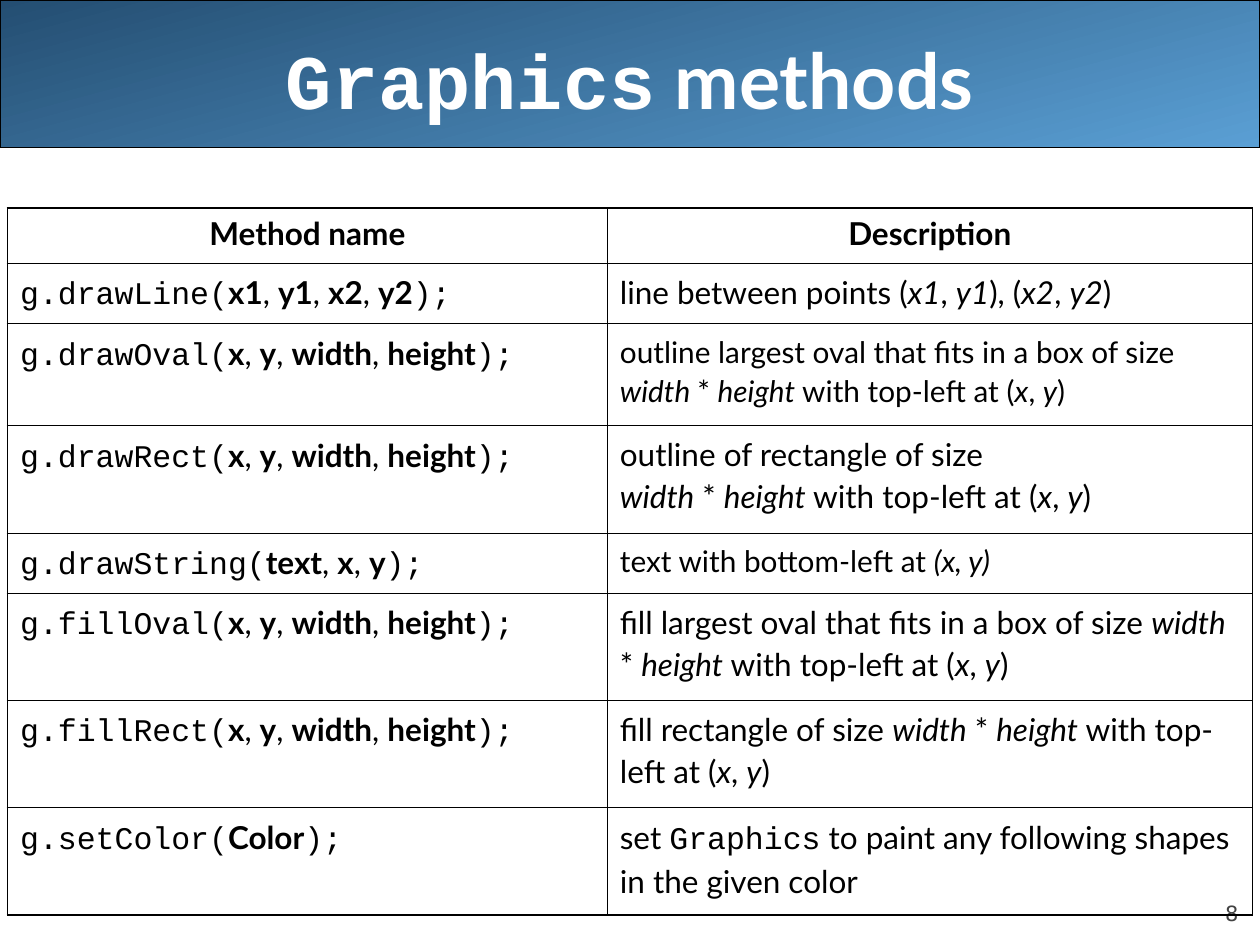
from lxml.etree import SubElement
from pptx import Presentation
from pptx.dml.color import RGBColor
from pptx.enum.shapes import MSO_SHAPE
from pptx.enum.text import MSO_ANCHOR, PP_ALIGN
from pptx.oxml.ns import qn
from pptx.util import Inches, Pt

SANS, MONO = "Lato", "Courier New"
THIN, THICK = 0.45, 1.08

# Content: method, parameters, description (_marks_ set italics, Graphics is code),
# description size, row height
HEADERS, HEADER_HEIGHT = ("Method name", "Description"), 0.44
METHODS = [
    ("drawLine", ["x1", "y1", "x2", "y2"],
     "line between points (_x1_, _y1_), (_x2_, _y2_)", 18, 0.48),
    ("drawOval", ["x", "y", "width", "height"],
     "outline largest oval that fits in a box of size _width _* _height_"
     " with top-left at (_x_, _y_)", 17, 0.81),
    ("drawRect", ["x", "y", "width", "height"],
     "outline of rectangle of size\n_width_ * _height_ with top-left at (_x_, _y_)",
     18, 0.85),
    ("drawString", ["text", "x", "y"],
     "text with bottom-left at _(x, y)_", 17, 0.48),
    ("fillOval", ["x", "y", "width", "height"],
     "fill largest oval that fits in a box of size _width _* _height_"
     " with top-left at (_x_, _y_)", 18, 0.85),
    ("fillRect", ["x", "y", "width", "height"],
     "fill rectangle of size _width_ * _height_ with top-left at (_x_, _y_)", 18, 0.85),
    ("setColor", ["Color"],
     "set _Graphics_ to paint any following shapes in the given color", 18, 0.85),
]
COLUMN_WIDTHS = (4.76, 5.12)


def rgb(value):
    return RGBColor.from_string(value)


def style(p, size, color="000000", align=PP_ALIGN.LEFT, before=0, spacing=1.0):
    p.font.size, p.font.color.rgb = Pt(size), rgb(color)
    p.alignment, p.space_before, p.line_spacing = align, Pt(before), spacing


def add_run(p, text, font=SANS, bold=False, italic=False):
    for i, line in enumerate(text.split("\n")):
        if i:
            p.add_line_break()
        if line:
            r = p.add_run()
            r.text, r.font.name = line, font
            r.font.bold, r.font.italic = bold, italic


def write_call(p, method, params):
    add_run(p, f"g.{method}(", MONO)
    for i, param in enumerate(params):
        if i:
            add_run(p, ", ")
        add_run(p, param, bold=True)
    add_run(p, ");", MONO)


def write_description(p, text):
    for i, part in enumerate(text.split("_")):
        if part == "Graphics":
            add_run(p, part, MONO)
        else:
            add_run(p, part, italic=i % 2 == 1)


def set_borders(cell, widths):
    tcPr = cell._tc.get_or_add_tcPr()
    for i, (side, width) in enumerate(widths.items()):
        ln = SubElement(tcPr, qn(f"a:ln{side}"), w=str(Pt(width)))
        fill = SubElement(ln, qn("a:solidFill"))
        SubElement(fill, qn("a:srgbClr"), val="000000")
        tcPr.insert(i, ln)


prs = Presentation()
prs.slide_width, prs.slide_height = Inches(10), Inches(7.5)
s = prs.slides.add_slide(prs.slide_layouts[5])
title = s.shapes.title

# Banner behind the title
banner = s.shapes.add_shape(MSO_SHAPE.ROUNDED_RECTANGLE, 0, 0, Inches(10), Inches(1.17))
banner.adjustments[0] = 0
banner.shadow.inherit = False
banner.fill.gradient()
banner.fill.gradient_angle = 285
for stop, color in zip(banner.fill.gradient_stops, ("244E72", "5A9FD4")):
    stop.color.rgb = rgb(color)
banner.line.color.rgb, banner.line.width = rgb("000000"), Pt(0.75)
title.element.addprevious(banner.element)

# Title
title.left, title.top = Inches(0.5), Inches(0)
title.width, title.height = Inches(9), Inches(1.25)
title.text_frame.vertical_anchor = MSO_ANCHOR.MIDDLE
p = title.text_frame.paragraphs[0]
style(p, 44, "FFFFFF", PP_ALIGN.CENTER)
add_run(p, "Graphics", MONO, bold=True)
add_run(p, " methods", bold=True)

# Page number
number = s.shapes.add_textbox(Inches(9), Inches(6.95), Inches(0.83), Inches(0.4))
tf = number.text_frame
tf.word_wrap, tf.vertical_anchor = True, MSO_ANCHOR.BOTTOM
tf.margin_left = tf.margin_top = tf.margin_right = tf.margin_bottom = 0
style(tf.paragraphs[0], 12, "424242", PP_ALIGN.RIGHT, before=5)
add_run(tf.paragraphs[0], "8", "DejaVu Sans")

# Table
heights = [HEADER_HEIGHT] + [m[-1] for m in METHODS]
table = s.shapes.add_table(
    len(heights), 2, Inches(0.06), Inches(1.65),
    Inches(sum(COLUMN_WIDTHS)), Inches(sum(heights))).table
table.first_row = table.horz_banding = False
for column, width in zip(table.columns, COLUMN_WIDTHS):
    column.width = Inches(width)
for row, height in zip(table.rows, heights):
    row.height = Inches(height)

for cell, header in zip(table.rows[0].cells, HEADERS):
    p = cell.text_frame.paragraphs[0]
    style(p, 18, align=PP_ALIGN.CENTER, before=4.5)
    add_run(p, header, bold=True)

for i, (method, params, description, size, _) in enumerate(METHODS, 1):
    call, about = (c.text_frame.paragraphs[0] for c in table.rows[i].cells)
    style(call, 18, before=4.5, spacing=1.1)
    write_call(call, method, params)
    style(about, size, before=size / 4, spacing=1.1)
    write_description(about, description)

# Thick frame, thin inner lines
last = len(heights) - 1
for i, row in enumerate(table.rows):
    for j, cell in enumerate(row.cells):
        cell.fill.background()
        outer = {"L": j == 0, "R": j == 1, "T": i == 0, "B": i == last}
        set_borders(cell, {k: THICK if v else THIN for k, v in outer.items()})

prs.save("out.pptx")
